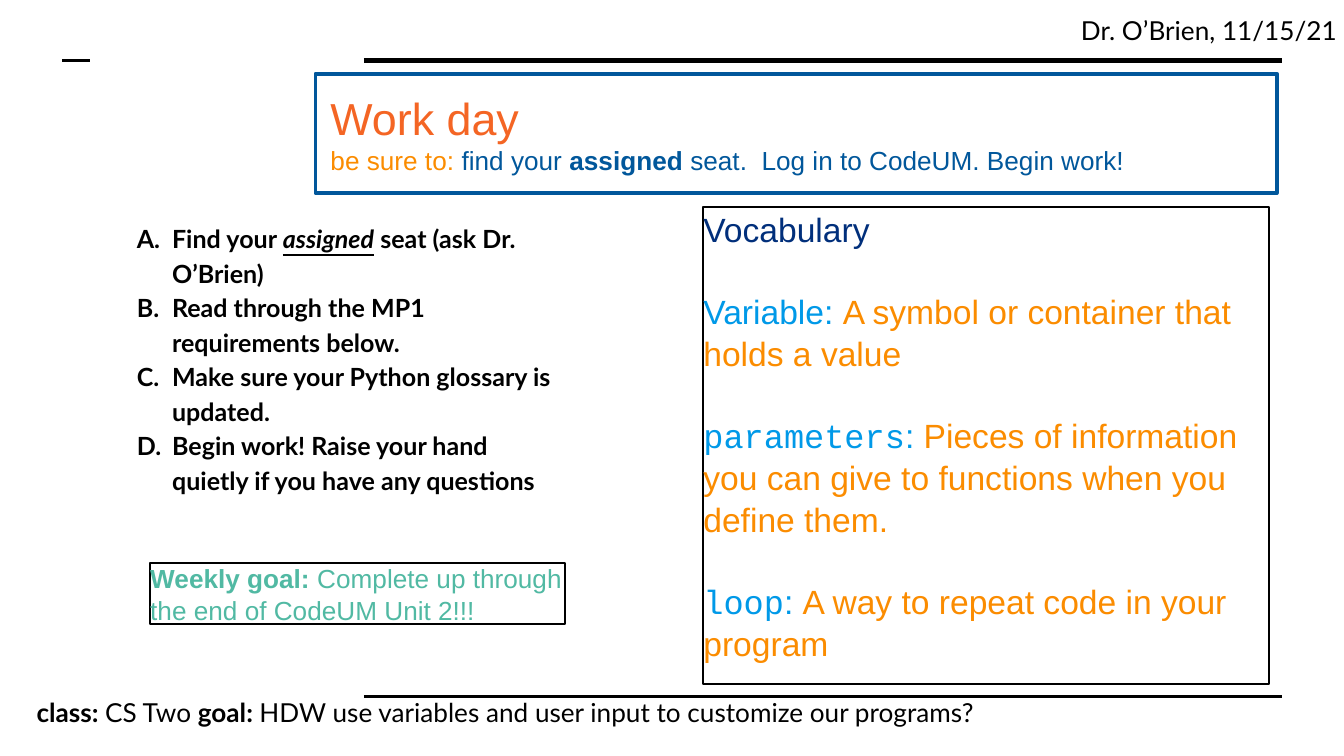
from dataclasses import dataclass

from lxml import etree
from pptx import Presentation
from pptx import util as u
from pptx.dml.color import RGBColor
from pptx.enum import shapes, text
from pptx.oxml import ns

BLACK, WHITE, BLUE, ORANGE = "000000", "FFFFFF", "01579B", "FB8C00"
NAVY, SKY, CORAL, GREEN = "012F7B", "0099E8", "F46524", "51B9A3"


@dataclass
class Run:
    text: str
    size: float
    font: str
    color: str
    bold: bool = False
    italic: bool = False
    underline: bool = False


@dataclass
class Box:
    left: float
    top: float
    width: float
    height: float
    fill: str | None = None
    line: str | None = None
    weight: float = 1


@dataclass
class Rule:
    x1: float
    x2: float
    y: float
    weight: float


def rgb(color: str) -> RGBColor:
    return RGBColor.from_string(color)


def fmt(words: str, *, size: float = 14, font: str = "Lato", color: str = BLACK, **style) -> Run:
    return Run(words, size, font, color, **style)


def draw_rule(s, rule: Rule) -> None:
    y = u.Pt(rule.y)
    c = s.shapes.add_connector(shapes.MSO_CONNECTOR.STRAIGHT, u.Pt(rule.x1), y, u.Pt(rule.x2), y)
    c.line.color.rgb = rgb(BLACK)
    c.line.width = u.Pt(rule.weight)
    etree.SubElement(c._element.spPr, ns.qn("a:effectLst"))


def draw_box(s, box: Box):
    at = [u.Pt(v) for v in (box.left, box.top, box.width, box.height)]
    if not box.line:
        return s.shapes.add_textbox(*at)
    sp = s.shapes.add_shape(shapes.MSO_SHAPE.RECTANGLE, *at)
    sp.shadow.inherit = False
    if box.fill:
        sp.fill.solid()
        sp.fill.fore_color.rgb = rgb(box.fill)
    else:
        sp.fill.background()
    sp.line.color.rgb = rgb(box.line)
    sp.line.width = u.Pt(box.weight)
    return sp


def write(sp, paragraphs: list[list[Run]], *, inset: float = 7.2, right: float | None = None,
          anchor=text.MSO_ANCHOR.TOP, wrap: bool = True, gap: float = 0,
          spacing: float = 1, lettered: bool = False) -> None:
    tf = sp.text_frame
    tf.word_wrap = wrap
    tf.auto_size = text.MSO_AUTO_SIZE.NONE
    tf.vertical_anchor = anchor
    tf.margin_left = tf.margin_top = tf.margin_bottom = u.Pt(inset)
    tf.margin_right = u.Pt(inset if right is None else right)
    for i, runs in enumerate(paragraphs):
        p = tf.add_paragraph() if i else tf.paragraphs[0]
        p.alignment = text.PP_ALIGN.LEFT
        p.line_spacing = spacing
        p.space_before = u.Pt(gap if i else 0)
        if lettered:
            pPr = p._p.get_or_add_pPr()
            pPr.set("marL", str(u.Pt(18.9)))
            pPr.set("indent", str(u.Pt(-18.9)))
            etree.SubElement(pPr, ns.qn("a:buFont"), typeface=runs[0].font)
            etree.SubElement(pPr, ns.qn("a:buAutoNum"), type="alphaUcPeriod")
        for run in runs:
            r = p.add_run()
            r.text = run.text
            f = r.font
            f.size, f.name, f.bold = u.Pt(run.size), run.font, run.bold
            f.italic, f.underline = run.italic, run.underline
            f.color.rgb = rgb(run.color)


def term(name: str, meaning: str, font: str = "Courier New") -> list[Run]:
    return [
        fmt(name, size=18, font=font, color=SKY),
        fmt(": ", size=18, font="Arial", color=SKY),
        fmt(meaning, size=18, font="Arial", color=ORANGE),
    ]


def main() -> None:
    prs = Presentation()
    prs.slide_width, prs.slide_height = u.Pt(720), u.Pt(405)
    s = prs.slides.add_slide(prs.slide_layouts[6])

    # Header and footer rules
    for rule in (Rule(195, 687, 32.5, 3), Rule(195, 687, 373, 1.5), Rule(33.5, 48, 32.5, 1.5)):
        draw_rule(s, rule)

    # Footer and date
    write(draw_box(s, Box(12.5, 366, 673, 31.5)), [[
        fmt("class: ", bold=True),
        fmt("CS Two "),
        fmt("goal: ", bold=True),
        fmt("HDW use variables and user input to customize our programs?"),
    ]])
    write(draw_box(s, Box(572, 0.7, 148, 31.5)), [[fmt("Dr. O’Brien, 11/15/21")]], right=0)

    # Title panel
    draw_box(s, Box(169, 39.5, 515, 64, WHITE, BLUE, 2))
    write(draw_box(s, Box(170, 40.3, 513, 62)), [
        [fmt("Work day", size=24, font="Arial", color=CORAL)],
        [
            fmt("be sure to: ", font="Arial", color=ORANGE),
            fmt("find your ", font="Arial", color=BLUE),
            fmt("assigned ", font="Arial", color=BLUE, bold=True),
            fmt("seat.  Log in to CodeUM. Begin work!", font="Arial", color=BLUE),
        ],
    ], anchor=text.MSO_ANCHOR.MIDDLE)

    # Vocabulary
    write(draw_box(s, Box(376.8, 111, 303, 255.5, line=BLACK)), [
        [fmt("Vocabulary", size=18, font="Arial", color=NAVY)],
        term("Variable", "A symbol or container that holds a value", "Arial"),
        term("parameters", "Pieces of information you can give to functions when you define them."),
        term("loop", "A way to repeat code in your program"),
    ], inset=0, gap=21.6, spacing=1.04)

    # Weekly goal
    write(draw_box(s, Box(80.5, 301.5, 222, 33, line=BLACK)), [
        [
            fmt("Weekly goal:", font="Arial", color=GREEN, bold=True),
            fmt(" Complete up through", font="Arial", color=GREEN),
        ],
        [fmt("the end of CodeUM Unit 2!!!", font="Arial", color=GREEN)],
    ], inset=0, wrap=False)

    # Steps
    step = {"size": 13.4, "bold": True}
    write(draw_box(s, Box(66.2, 110.2, 245.5, 177)), [
        [
            fmt("Find your ", **step),
            fmt("assigned", italic=True, underline=True, **step),
            fmt(" seat (ask Dr. O’Brien)", **step),
        ],
        [fmt("Read through the MP1 requirements below.", **step)],
        [fmt("Make sure your Python glossary is updated.", **step)],
        [fmt("Begin work! Raise your hand quietly if you have any questions", **step)],
    ], spacing=1.15, lettered=True)

    prs.save("out.pptx")


if __name__ == "__main__":
    main()
